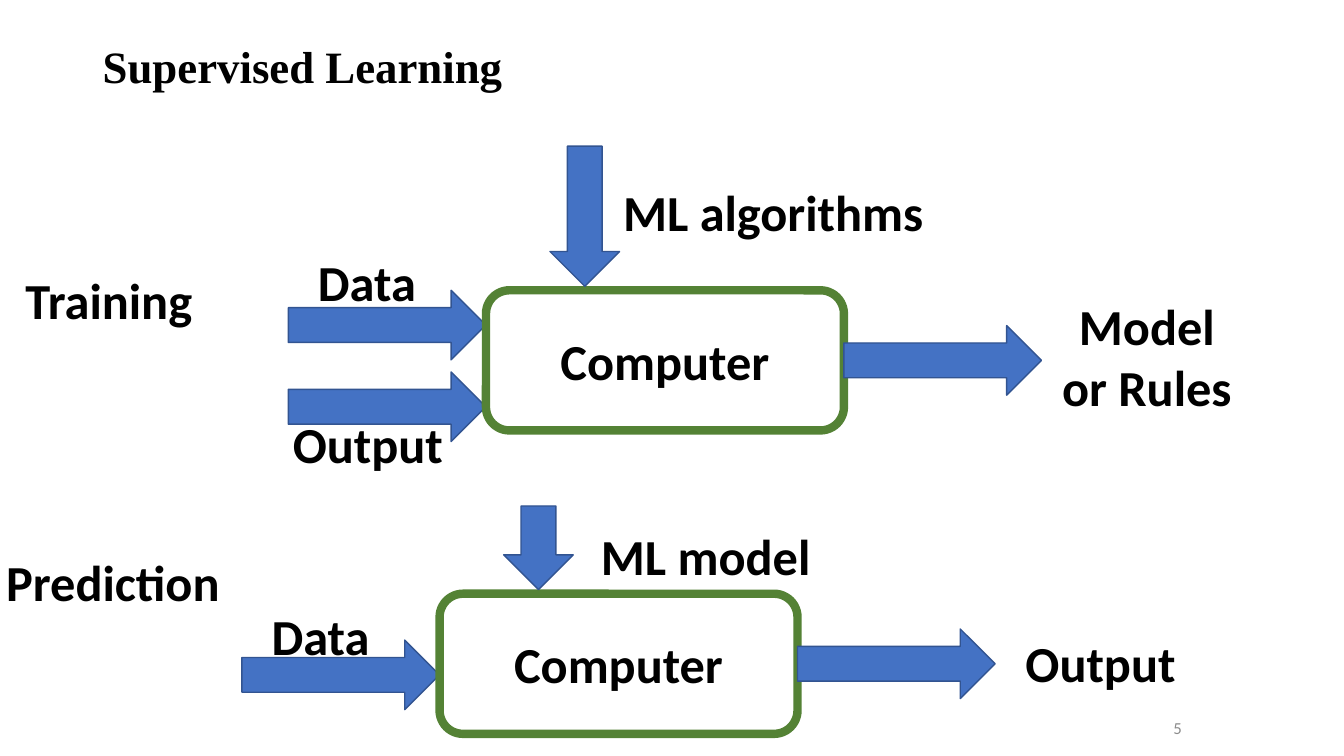
from pptx import Presentation
from pptx import util as u
from pptx.dml.color import RGBColor
from pptx.enum import shapes, text

COLORS = {"ink": "000000", "arrow": "4472C4", "arrow_edge": "325491",
          "computer_edge": "548235", "page": "8C8C8C"}
COMPUTER_W, COMPUTER_H = 3.55, 1.39
ARROW_W, ARROW_H = 1.96, 0.69
LABEL_H = 0.71


def color(name):
    return RGBColor.from_string(COLORS[name])


def inches(*lengths):
    return [u.Inches(length) for length in lengths]


def write(frame, wording, size=36, font="Calibri", ink="ink", bold=True,
          align=text.PP_ALIGN.CENTER, anchor=text.MSO_ANCHOR.TOP):
    frame.word_wrap = True
    frame.vertical_anchor = anchor
    frame.text = wording
    paragraph = frame.paragraphs[0]
    paragraph.alignment = align
    face = paragraph.runs[0].font
    face.size, face.name, face.bold = u.Pt(size), font, bold
    face.color.rgb = color(ink)
    return paragraph


def add_label(slide, wording, left, top, width, height=LABEL_H, **style):
    label = slide.shapes.add_textbox(*inches(left, top, width, height))
    return write(label.text_frame, wording, **style)


def add_arrow(slide, left, top, length=ARROW_W, rotation=0):
    arrow = slide.shapes.add_shape(shapes.MSO_SHAPE.RIGHT_ARROW,
                                   *inches(left, top, length, ARROW_H))
    arrow.shadow.inherit = False
    arrow.rotation = rotation
    arrow.fill.solid()
    arrow.fill.fore_color.rgb = color("arrow")
    arrow.line.color.rgb = color("arrow_edge")
    arrow.line.width = u.Pt(1)


def add_computer(slide, left, top):
    computer = slide.shapes.add_shape(shapes.MSO_SHAPE.ROUNDED_RECTANGLE,
                                      *inches(left, top, COMPUTER_W, COMPUTER_H))
    computer.shadow.inherit = False
    computer.fill.background()
    computer.line.color.rgb = color("computer_edge")
    computer.line.width = u.Pt(6)
    write(computer.text_frame, "Computer", anchor=text.MSO_ANCHOR.MIDDLE)


def add_stage(slide, left, top, name, inputs, method, result):
    stage_name, name_left, name_dy = name
    add_label(slide, stage_name, name_left, top + name_dy, 2.42)

    for _, arrow_dy, *_ in inputs:
        add_arrow(slide, left - ARROW_W, top + arrow_dy)
    add_computer(slide, left, top)
    for wording, arrow_dy, label_dx, label_dy, width in inputs:
        add_label(slide, wording, left - ARROW_W + label_dx,
                  top + arrow_dy + label_dy, width)

    method_name, length, label_dx, label_dy = method
    center_x, center_y = left + 0.98, top - 0.04 - length / 2
    add_arrow(slide, center_x - length / 2, center_y - ARROW_H / 2, length, 90)
    add_label(slide, method_name, left + label_dx, top + label_dy, 3.96)

    result_name, result_dy, result_height = result
    add_arrow(slide, left + COMPUTER_W, top + (COMPUTER_H - ARROW_H) / 2)
    add_label(slide, result_name, left + COMPUTER_W + ARROW_W,
              top + result_dy, 2.09, result_height)


def add_heading(slide, left, top, width, height):
    heading = add_label(slide, "Supervised Learning", left, top, width, height,
                        size=32, font="Times New Roman",
                        align=text.PP_ALIGN.LEFT)
    heading.line_spacing = 0.9


def add_page_number(slide, left, top, width, height):
    add_label(slide, "5", left, top, width, height, size=12, ink="page",
              bold=False, align=text.PP_ALIGN.RIGHT,
              anchor=text.MSO_ANCHOR.MIDDLE)


def main():
    deck = Presentation()
    deck.slide_width, deck.slide_height = inches(13.33, 7.5)
    slide = deck.slides.add_slide(deck.slide_layouts[6])
    add_heading(slide, 0.92, 0.4, 11.5, 1)
    add_stage(slide, 4.82, 2.88,
              name=("Training", -0.13, -0.26),
              inputs=[("Data", 0, 0, -0.44, 1.56),
                      ("Output", 0.81, -0.19, 0.36, 1.96)],
              method=("ML algorithms", 1.39, 0.87, -1.13),
              result=("Model or Rules", 0, 1.31))
    add_stage(slide, 4.36, 5.89,
              name=("Prediction", -0.09, -0.47),
              inputs=[("Data", 0.46, 0, -0.4, 1.56)],
              method=("ML model", 0.83, 0.66, -0.73),
              result=("Output", 0.33, LABEL_H))
    add_page_number(slide, 8.82, 7.02, 3, 0.4)
    deck.save("out.pptx")


if __name__ == "__main__":
    main()
